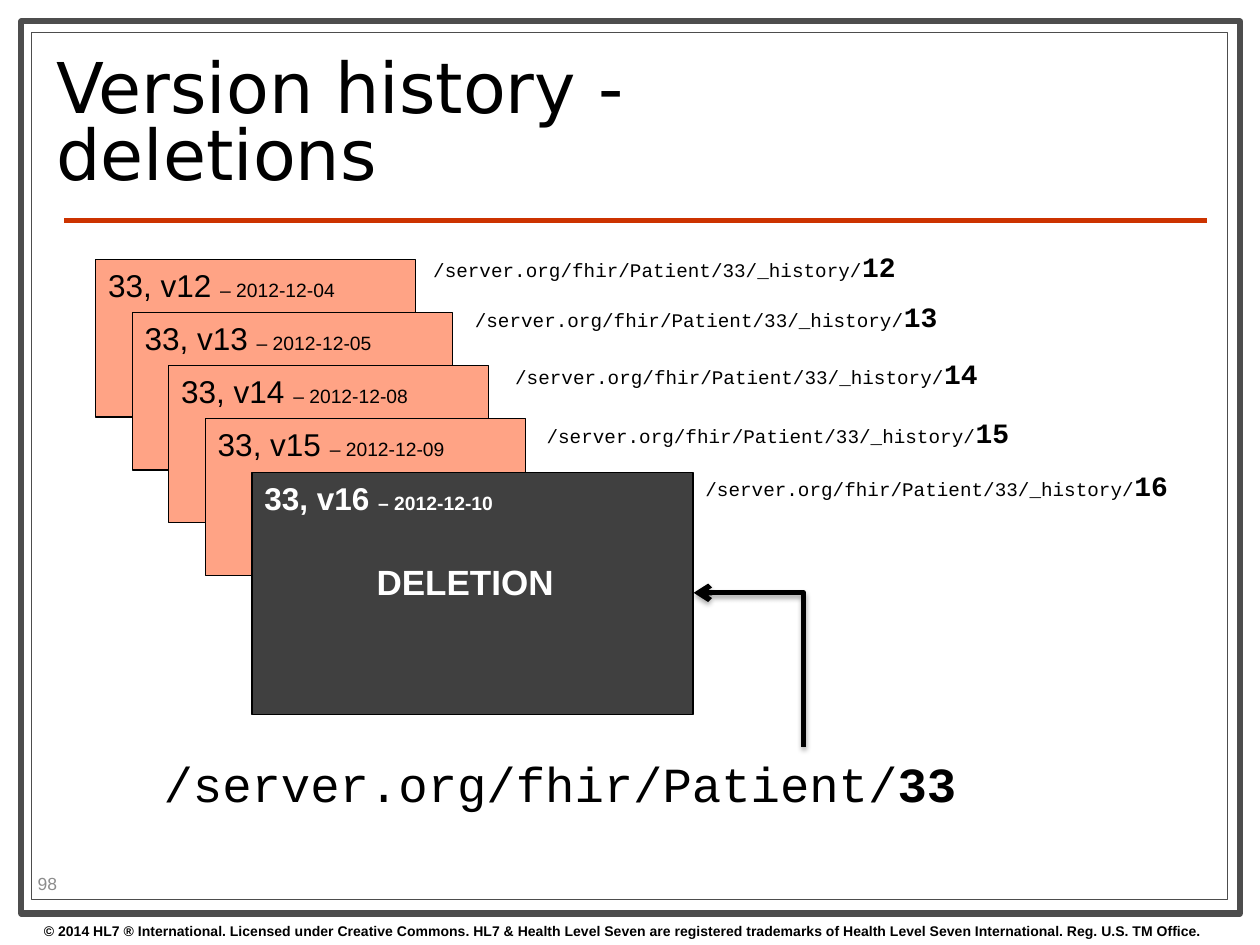
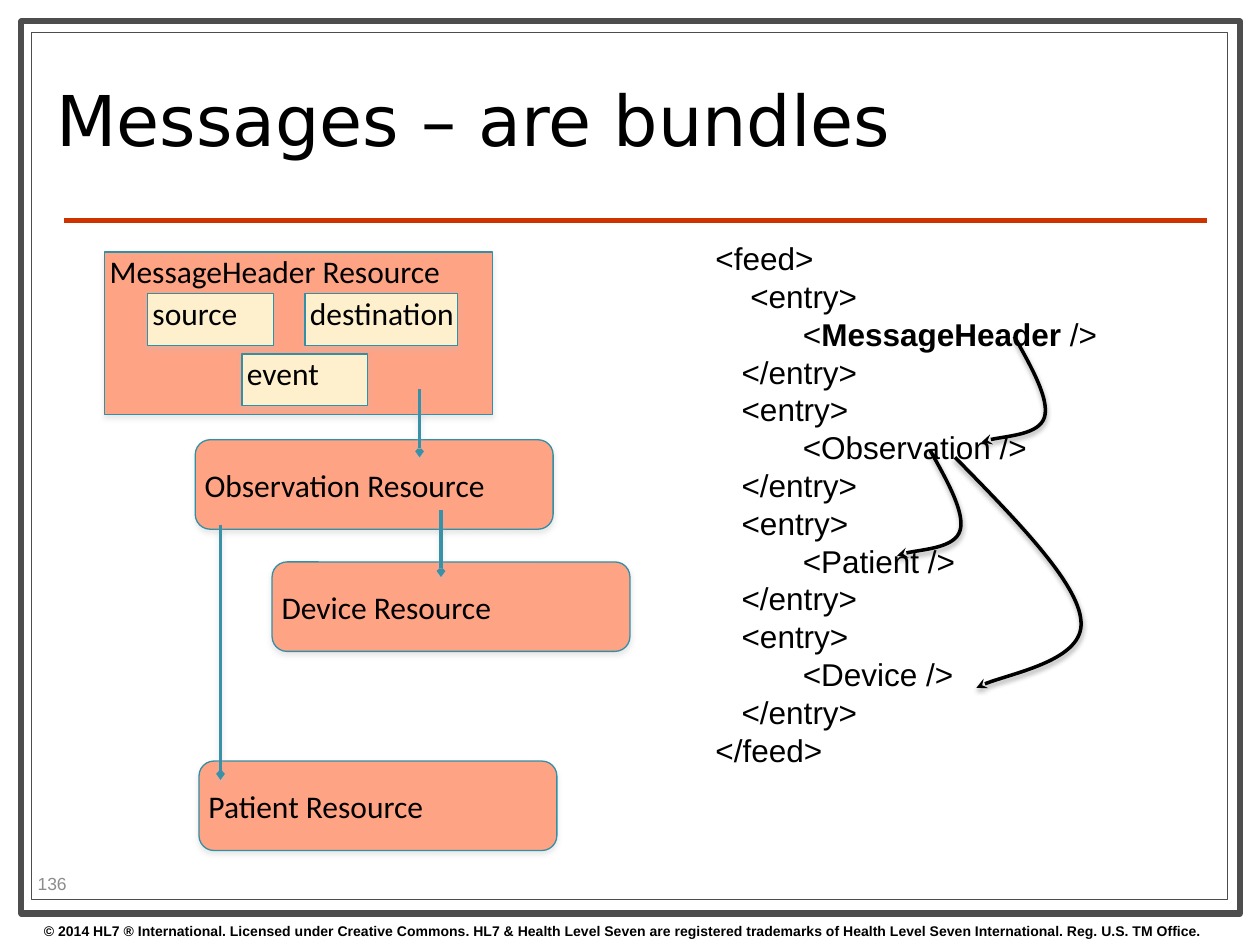
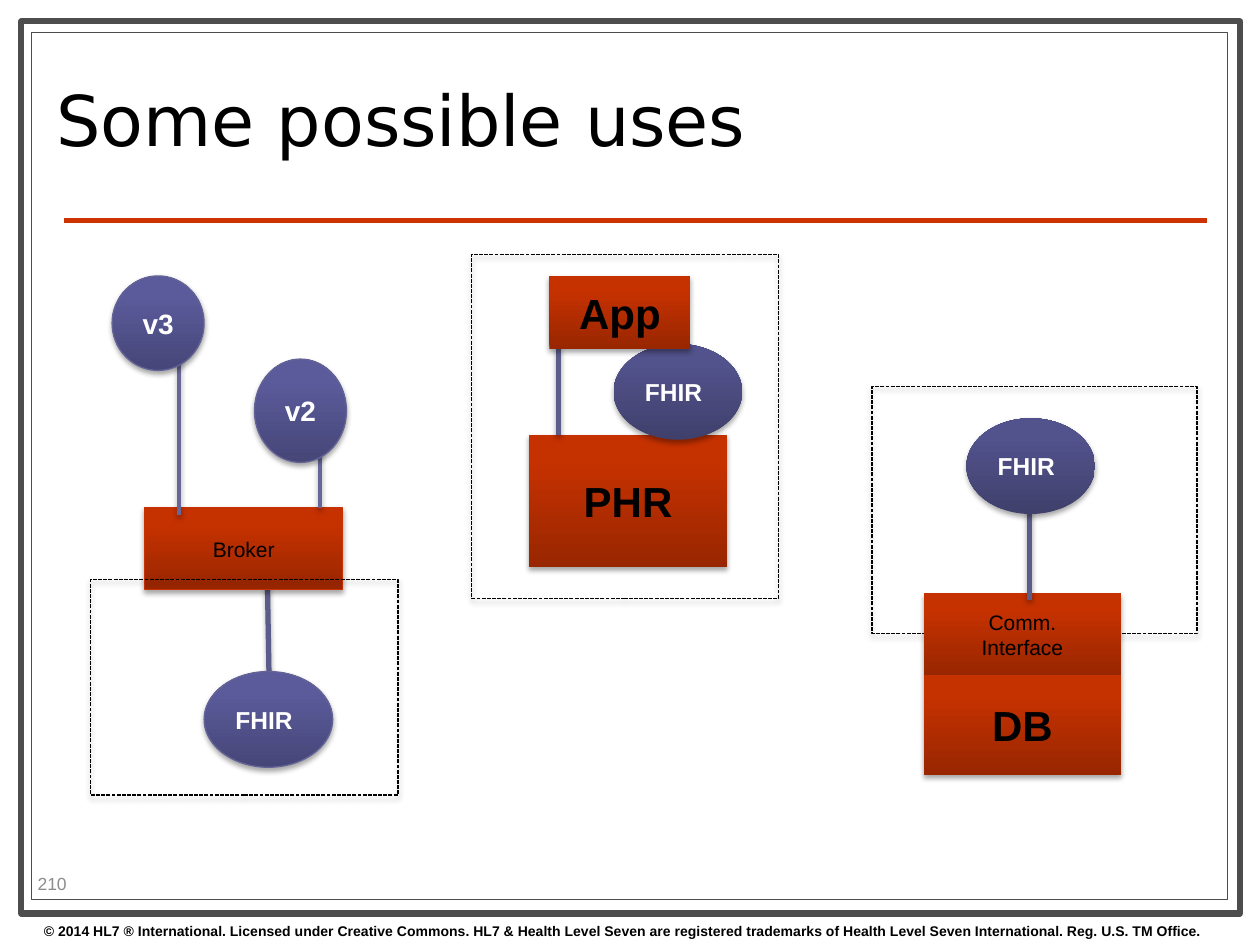
from dataclasses import dataclass, field
from functools import partial
from typing import Any

from pptx import Presentation
from pptx.dml.color import RGBColor
from pptx.enum.dml import MSO_LINE
from pptx.enum.shapes import MSO_CONNECTOR, MSO_SHAPE
from pptx.enum.text import MSO_ANCHOR, MSO_AUTO_SIZE, PP_ALIGN
from pptx.oxml import parse_xml
from pptx.oxml.ns import nsdecls, qn
from pptx.oxml.xmlchemy import OxmlElement
from pptx.util import Inches, Pt

COLORS = {
    "white": "FFFFFF", "black": "000000", "border": "4D4D4D", "rule": "CC3300",
    "number": "8C8C8C", "salmon": "FFA385", "deleted": "404040", "cream": "FEF0CD",
    "teal": "338FA5", "link": "3891A7", "silver": "C0C0C0",
    "system_dark": "982600", "system": "C63100", "system_edge": "C83200",
    "node_dark": "464678", "node": "5B5B9C", "node_edge": "636397",
    "fhir_dark": "40406C", "fhir": "52528C", "wire": "5C5C8A", "thin_wire": "666699",
}
COPYRIGHT = (
    "© 2014 HL7 ® International. Licensed under Creative Commons. HL7 & Health Level Seven "
    "are registered trademarks of Health Level Seven International. Reg. U.S. TM Office."
)
HISTORY = "/server.org/fhir/Patient/33/_history/"
FEED = """<feed>
    <entry>
          <MessageHeader />
   </entry>
   <entry>
          <Observation />
   </entry>
   <entry>
          <Patient />
   </entry>
   <entry>
          <Device />
   </entry>
</feed>"""
GROW = {"auto_size": MSO_AUTO_SIZE.SHAPE_TO_FIT_TEXT}
MIDDLE = {"vertical_anchor": MSO_ANCHOR.MIDDLE}
TIGHT = {"margin_left": Inches(0.04), "margin_top": 0, "margin_right": 0, "margin_bottom": 0}
CENTER = {"alignment": PP_ALIGN.CENTER}


@dataclass(frozen=True)
class Run:
    text: str
    size: float
    bold: bool = False
    color: str = "black"
    name: str = "Arial"


@dataclass(frozen=True)
class Stroke:
    color: str
    width: float = 0.75
    dash: Any = None
    arrow: str = ""
    arrow_size: str = "med"


@dataclass(frozen=True)
class Box:
    left: float
    top: float
    width: float
    height: float
    paragraphs: tuple[tuple[Run, ...], ...] = ()
    preset: Any = None
    fill: tuple[str, ...] = ()
    stroke: Stroke | None = None
    shadow: str = ""
    frame: dict[str, Any] = field(default_factory=dict)
    paragraph: dict[str, Any] = field(default_factory=dict)


@dataclass(frozen=True)
class Link:
    start: tuple[float, float]
    end: tuple[float, float]
    stroke: Stroke
    shadow: str = ""
    kind: Any = MSO_CONNECTOR.STRAIGHT


def rgb(name: str) -> RGBColor:
    return RGBColor.from_string(COLORS[name])


def apply(target: Any, formats: dict[str, Any]) -> None:
    for attribute, value in formats.items():
        setattr(target, attribute, value)


def add_effects(shape: Any, shadow: str) -> None:
    properties = shape.element.spPr
    effects = properties.find(qn("a:effectLst"))
    if effects is None:
        effects = OxmlElement("a:effectLst")
        properties.append(effects)
    if shadow:
        effects.append(parse_xml(
            f'<a:outerShdw {nsdecls("a")} blurRad="{Pt(3.1)}" dist="{Pt(1.8)}" dir="5400000" '
            f'rotWithShape="0"><a:srgbClr val="{COLORS[shadow]}"><a:alpha val="35000"/>'
            '</a:srgbClr></a:outerShdw>'
        ))


def draw_stroke(line: Any, stroke: Stroke | None) -> None:
    if stroke is None:
        line.fill.background()
        return
    line.color.rgb = rgb(stroke.color)
    apply(line, {"width": Pt(stroke.width), "dash_style": stroke.dash})
    if stroke.arrow:
        tail = OxmlElement("a:tailEnd")
        for key, value in {"type": stroke.arrow, "w": stroke.arrow_size, "len": stroke.arrow_size}.items():
            tail.set(key, value)
        line._get_or_add_ln().append(tail)


def draw_fill(fill: Any, colors: tuple[str, ...]) -> None:
    if not colors:
        fill.background()
    elif len(colors) == 1:
        fill.solid()
        fill.fore_color.rgb = rgb(colors[0])
    else:
        fill.gradient()
        fill.gradient_angle = 90
        for stop, color, position in zip(fill.gradient_stops, colors, (0, 0.8)):
            stop.color.rgb = rgb(color)
            stop.position = position


def write(box: Box, text_frame: Any) -> None:
    apply(text_frame, {"word_wrap": True, "vertical_anchor": MSO_ANCHOR.TOP} | box.frame)
    for index, runs in enumerate(box.paragraphs):
        paragraph = text_frame.add_paragraph() if index else text_frame.paragraphs[0]
        apply(paragraph, {"alignment": PP_ALIGN.LEFT} | box.paragraph)
        for part in runs:
            run = paragraph.add_run()
            run.text = part.text
            apply(run.font, {"size": Pt(part.size), "bold": part.bold, "name": part.name})
            run.font.color.rgb = rgb(part.color)


def draw_box(slide: Any, box: Box) -> Any:
    bounds = [Inches(value) for value in (box.left, box.top, box.width, box.height)]
    if box.preset is None:
        shape = slide.shapes.add_textbox(*bounds)
    else:
        shape = slide.shapes.add_shape(box.preset, *bounds)
        shape.shadow.inherit = False
        draw_fill(shape.fill, box.fill)
        draw_stroke(shape.line, box.stroke)
        add_effects(shape, box.shadow)
    write(box, shape.text_frame)
    return shape


def draw_link(slide: Any, link: Link) -> Any:
    ends = [Inches(value) for value in (*link.start, *link.end)]
    connector = slide.shapes.add_connector(link.kind, *ends)
    draw_stroke(connector.line, link.stroke)
    add_effects(connector, link.shadow)
    return connector


def draw_curve(slide: Any, points: list[tuple[float, float]], stroke: Stroke) -> None:
    corners = [(Inches(x), Inches(y)) for x, y in points]
    builder = slide.shapes.build_freeform(*corners[0])
    builder.add_line_segments(corners[1:], close=False)
    curve = builder.convert_to_shape()
    segments = list(curve.element.iter(qn("a:lnTo")))
    for first in range(0, len(segments), 3):
        bezier = OxmlElement("a:cubicBezTo")
        segments[first].addprevious(bezier)
        for segment in segments[first:first + 3]:
            bezier.append(segment[0])
            segment.getparent().remove(segment)
    curve.shadow.inherit = False
    curve.fill.background()
    draw_stroke(curve.line, stroke)
    add_effects(curve, "black")


def draw_all(slide: Any, parts: list[Box | Link]) -> None:
    for part in parts:
        draw_link(slide, part) if isinstance(part, Link) else draw_box(slide, part)


RECT = partial(Box, preset=MSO_SHAPE.RECTANGLE)


def start_slide(deck: Any, title: str, number: int) -> Any:
    slide = deck.slides.add_slide(deck.slide_layouts[6])
    draw_all(slide, [
        RECT(0.17, 0.17, 9.67, 7.08, fill=("white",), stroke=Stroke("border", 3.5)),
        RECT(0.25, 0.26, 9.49, 6.88, fill=("white",), stroke=Stroke("border")),
        Link((0.51, 1.75), (9.58, 1.75), Stroke("rule", 3)),
        Box(0.25, 7.27, 9.75, 0.23, ((Run(COPYRIGHT, 8, True),),), frame=GROW),
        Box(0.35, 0.36, 7.17, 1.29, ((Run(title, 40, name="DejaVu Sans"),),),
            frame=MIDDLE, paragraph={"line_spacing": 0.8}),
        Box(0.2, 6.89, 0.79, 0.24, ((Run(str(number), 10, color="number"),),), frame=MIDDLE),
    ])
    return slide


def address(left: float, top: float, width: float, height: float,
            base: Run, tail: Run) -> Box:
    return Box(left, top, width, height, ((base, tail),), frame=GROW)


def build_history(deck: Any) -> None:
    slide = start_slide(deck, "Version history - deletions", 98)
    mono = partial(Run, name="Courier New")
    outline = Stroke("black")
    for index, day in enumerate(("04", "05", "08", "09")):
        caption = (Run(f"33, v{12 + index} ", 18), Run(f"– 2012-12-{day}", 11))
        draw_box(slide, RECT(0.76 + 0.29 * index, 2.06 + 0.42 * index, 2.54, 1.25, (caption,),
                             fill=("salmon",), stroke=outline))
    white = partial(Run, bold=True, color="white")
    deletion = draw_box(slide, RECT(
        2, 3.75, 3.5, 1.92,
        ((white("33, v16 ", 18), white("– 2012-12-10", 11)), (white("DELETION", 20),)),
        fill=("deleted",), stroke=outline))
    verdict = deletion.text_frame.paragraphs[1]
    verdict.space_before = Pt(25)
    verdict._p.get_or_add_pPr().set("marL", str(Inches(0.89)))

    places = ((3.34, 1.93, 5), (3.67, 2.33, 5.25), (3.99, 2.78, 5.35), (4.24, 3.25, 5.36), (5.5, 3.67, 4.25))
    for version, (left, top, width) in enumerate(places, 12):
        draw_box(slide, address(left, top, width, 0.37, mono(HISTORY, 11), mono(str(version), 16, True)))
    draw_box(slide, address(1.2, 5.93, 6.88, 0.57,
                            mono("/server.org/fhir/Patient/", 28), mono("33", 28, True)))

    current = draw_link(slide, Link((5.33, 5.75), (6.55, 4.88), Stroke("black", 3, arrow="arrow"),
                                    "black", MSO_CONNECTOR.ELBOW))
    properties = current.element.spPr
    properties.find(qn("a:xfrm")).set("rot", "16200000")
    properties.find(qn("a:prstGeom")).set("prst", "bentConnector2")


def build_messages(deck: Any) -> None:
    slide = start_slide(deck, "Messages – are bundles", 136)
    teal = Stroke("teal")

    def resource(text: str, left: float, top: float, width: float = 2.84, height: float = 0.71,
                 preset: Any = MSO_SHAPE.ROUNDED_RECTANGLE, fill: str = "salmon") -> Box:
        anchor = MIDDLE if preset == MSO_SHAPE.ROUNDED_RECTANGLE else {}
        return Box(left, top, width, height, ((Run(text, 18, name="Calibri"),),), preset,
                   (fill,), teal, "silver", TIGHT | anchor)

    part = partial(resource, height=0.41, preset=MSO_SHAPE.RECTANGLE, fill="cream")
    draw_all(slide, [
        resource("Observation Resource", 1.55, 3.49),
        resource("MessageHeader Resource", 0.83, 2, 3.08, 1.29, MSO_SHAPE.RECTANGLE),
        part("source", 1.17, 2.33, 1),
        part("destination", 2.42, 2.33, 1.21),
        resource("Device Resource", 2.16, 4.46),
        resource("Patient Resource", 1.58, 6.04),
        part("event", 1.92, 2.81, 1),
    ])

    lines = []
    for line in FEED.splitlines():
        before, name, after = line.partition("MessageHeader")
        pieces = (Run(before, 18), Run(name, 18, True), Run(after, 18))
        lines.append(tuple(piece for piece in pieces if piece.text))
    draw_box(slide, Box(5.58, 1.85, 3.26, 4.34, tuple(lines), frame=GROW | {"word_wrap": False}))

    reference = Stroke("black", 2, arrow="stealth")
    hook = ((8.05, 2.67), (8.19, 2.92), (8.33, 3.17), (8.29, 3.31), (8.25, 3.45), (7.87, 3.47), (7.79, 3.51))
    for right, down in ((0, 0), (-0.67, 0.9)):
        draw_curve(slide, [(x + right, y + down) for x, y in hook], reference)
    draw_curve(slide, [(7.58, 3.63), (8.07, 4.13), (8.56, 4.63), (8.58, 4.93),
                       (8.61, 5.24), (7.89, 5.37), (7.75, 5.46)], reference)

    pointer = Stroke("link", 2, arrow="arrow", arrow_size="sm")
    for x, top, bottom in ((3.33, 3.09, 3.63), (3.5, 4.05, 4.58), (1.75, 4.17, 6.19)):
        draw_link(slide, Link((x, top), (x, bottom), pointer, "silver"))


def build_uses(deck: Any) -> None:
    slide = start_slide(deck, "Some possible uses", 210)
    wire = partial(Link, stroke=Stroke("wire", 3), shadow="black")
    thin_wire = partial(Link, stroke=Stroke("thin_wire", 2), shadow="black")
    scope = partial(RECT, stroke=Stroke("black", dash=MSO_LINE.SQUARE_DOT), shadow="black")
    oval = partial(Box, preset=MSO_SHAPE.OVAL, shadow="black", frame=MIDDLE)
    node = partial(oval, fill=("node_dark", "node"), stroke=Stroke("node_edge"))
    fhir = partial(oval, width=1.02, height=0.76,
                   paragraphs=((Run("FHIR", 14, True, "white"),),))
    inner_fhir = partial(fhir, fill=("fhir_dark", "fhir"))
    system = partial(RECT, fill=("system_dark", "system"), shadow="black", frame=MIDDLE, paragraph=CENTER)

    def version(text: str, left: float, top: float, height: float) -> Box:
        return node(left, top, 0.73, height, ((Run(text, 16, True, "white"),),), paragraph=CENTER)

    def named(text: str) -> tuple[tuple[Run, ...], ...]:
        return ((Run(text, 24, True),),)

    draw_all(slide, [
        wire((2.14, 5.64), (2.12, 4.47)),
        fhir(1.62, 5.33, fill=("node_dark", "node"), stroke=Stroke("node_edge")),
        system(1.15, 4.03, 1.57, 0.65, ((Run("Broker", 12),),), stroke=Stroke("system_edge")),
        thin_wire((1.42, 4.09), (1.42, 2.65)),
        version("v3", 0.89, 2.19, 0.75),
        scope(0.72, 4.6, 2.44, 1.71),
        thin_wire((2.54, 4.03), (2.54, 3.35)),
        version("v2", 2.02, 2.85, 0.82),
        system(4.2, 3.45, 1.57, 1.05, named("PHR")),
        wire((4.43, 3.45), (4.43, 2.74)),
        scope(3.74, 2.02, 2.44, 2.73),
        inner_fhir(4.87, 2.73),
        system(4.36, 2.19, 1.12, 0.58, named("App")),
        scope(6.92, 3.07, 2.58, 1.96),
        system(7.33, 4.71, 1.57, 0.65, ((Run("Comm.", 12),), (Run("Interface", 12),))),
        system(7.33, 5.36, 1.57, 0.79, named("DB")),
        wire((8.17, 4.76), (8.17, 3.96)),
        inner_fhir(7.67, 3.32),
    ])


def main() -> None:
    deck = Presentation()
    apply(deck, {"slide_width": Inches(10), "slide_height": Inches(7.5)})
    for build in (build_history, build_messages, build_uses):
        build(deck)
    deck.save("out.pptx")


if __name__ == "__main__":
    main()
